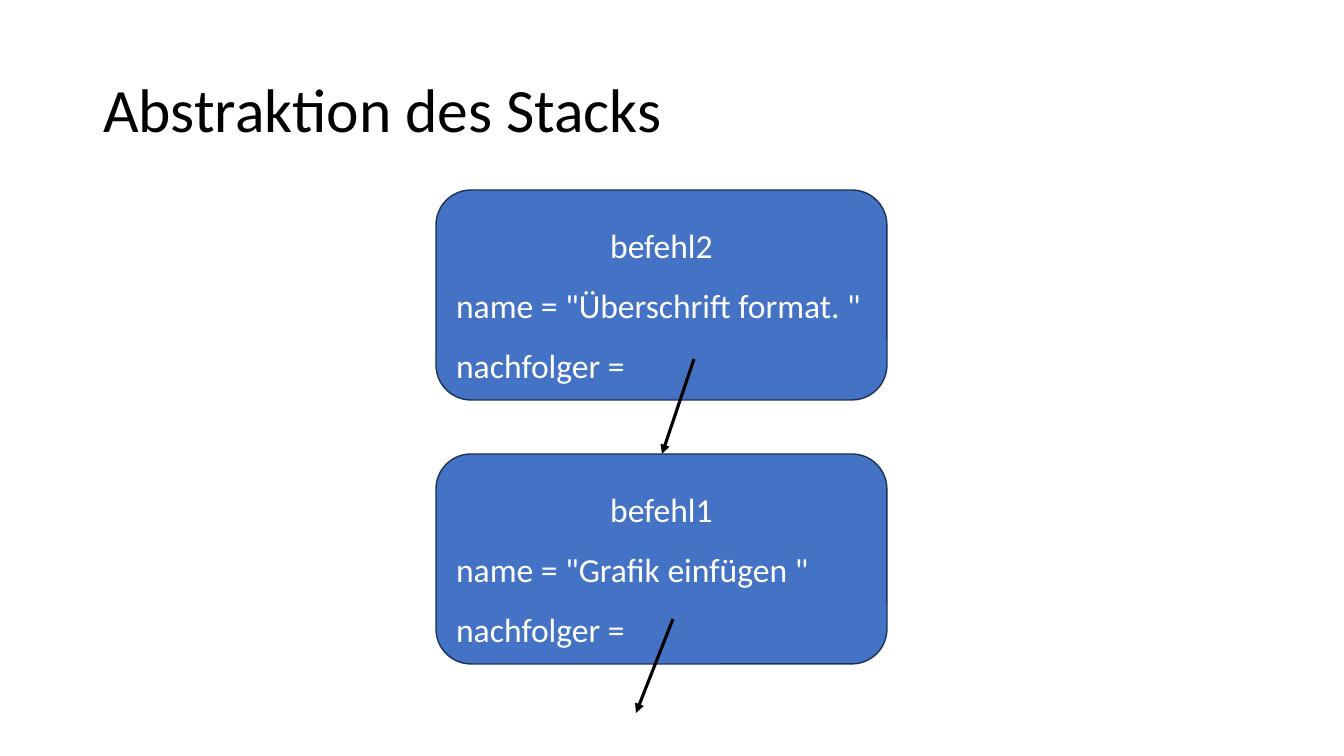
import pptx
import pptx.dml.color
import pptx.enum.shapes
import pptx.enum.text
import pptx.oxml.ns
import pptx.util
import lxml.etree

EMU_PER_PX = 914400 / 100.8
FONT = "Calibri"
COLORS = {"text": "000000", "box": "4472C4", "border": "1D3155",
          "box_text": "FFFFFF", "arrow": "000000"}

# Name, command text, arrow start and arrow end relative to the box
COMMANDS = [
    ("befehl2", "Überschrift format. ", (258, 169), (226, 264)),
    ("befehl1", "Grafik einfügen ", (237, 165), (200, 259)),
]
STACK_BOX = (436, 190, 451, 210)
STACK_PITCH = 264


def px(length):
    return pptx.util.Emu(round(length * EMU_PER_PX))


def color(name):
    return pptx.dml.color.RGBColor.from_string(COLORS[name])


def add_run(paragraph, text, size, color_name):
    run = paragraph.add_run()
    run.text = text
    run.font.name = FONT
    run.font.size = pptx.util.Pt(size)
    run.font.color.rgb = color(color_name)


def add_title(slide, box, text):
    title = slide.shapes.title
    title.left, title.top, title.width, title.height = map(px, box)
    frame = title.text_frame
    frame.auto_size = pptx.enum.text.MSO_AUTO_SIZE.NONE
    frame.vertical_anchor = pptx.enum.text.MSO_ANCHOR.MIDDLE
    paragraph = frame.paragraphs[0]
    paragraph.alignment = pptx.enum.text.PP_ALIGN.LEFT
    paragraph.line_spacing = 0.9
    add_run(paragraph, text, 44, "text")


def add_arrow(slide, start, end):
    arrow = slide.shapes.add_connector(
        pptx.enum.shapes.MSO_CONNECTOR.STRAIGHT, *map(px, start + end))
    arrow.line.color.rgb = color("arrow")
    arrow.line.width = pptx.util.Pt(2.25)
    # Arrowhead, and no shadow
    line = arrow.line._get_or_add_ln()
    lxml.etree.SubElement(line, pptx.oxml.ns.qn("a:tailEnd"), type="triangle")
    lxml.etree.SubElement(arrow._element.spPr, pptx.oxml.ns.qn("a:effectLst"))


def add_command(slide, box, name, command):
    shape = slide.shapes.add_shape(
        pptx.enum.shapes.MSO_SHAPE.ROUNDED_RECTANGLE, *map(px, box))
    shape.shadow.inherit = False
    shape.fill.solid()
    shape.fill.fore_color.rgb = color("box")
    shape.line.color.rgb = color("border")
    shape.line.width = pptx.util.Pt(1)
    frame = shape.text_frame
    frame.word_wrap = True
    frame.vertical_anchor = pptx.enum.text.MSO_ANCHOR.MIDDLE
    lines = [name, f'name = "{command}"', "nachfolger ="]
    for index, text in enumerate(lines):
        paragraph = frame.add_paragraph() if index else frame.paragraphs[0]
        paragraph.alignment = (pptx.enum.text.PP_ALIGN.LEFT if index
                               else pptx.enum.text.PP_ALIGN.CENTER)
        paragraph.line_spacing = 1.5
        add_run(paragraph, text, 24, "box_text")


def add_stack(slide, box):
    left, first_top, width, height = box
    for index, (name, command, start, end) in enumerate(COMMANDS):
        top = first_top + index * STACK_PITCH
        add_command(slide, (left, top, width, height), name, command)
        add_arrow(slide, (left + start[0], top + start[1]),
                  (left + end[0], top + end[1]))


def main():
    presentation = pptx.Presentation()
    presentation.slide_width = px(1344)
    presentation.slide_height = px(756)
    slide = presentation.slides.add_slide(presentation.slide_layouts[5])
    add_title(slide, (93, 40, 1159, 146), "Abstraktion des Stacks")
    add_stack(slide, STACK_BOX)
    presentation.save("out.pptx")


if __name__ == "__main__":
    main()
